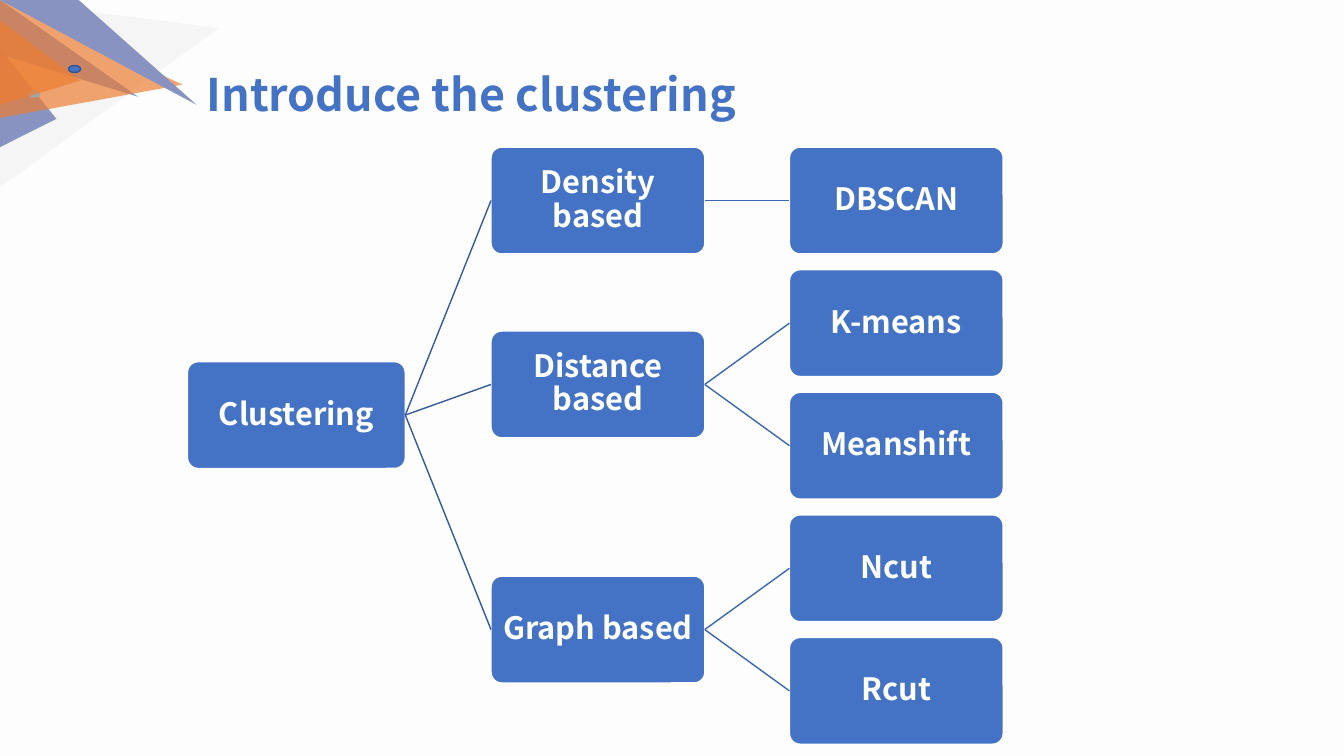
from lxml import etree
from pptx import Presentation
from pptx.dml.color import RGBColor
from pptx.enum.shapes import MSO_CONNECTOR, MSO_SHAPE
from pptx.enum.text import MSO_ANCHOR, PP_ALIGN
from pptx.oxml.ns import qn
from pptx.util import Inches, Pt

ROUND, OVAL = MSO_SHAPE.ROUNDED_RECTANGLE, MSO_SHAPE.OVAL
STRAIGHT = MSO_CONNECTOR.STRAIGHT
MIDDLE, CENTER = MSO_ANCHOR.MIDDLE, PP_ALIGN.CENTER
LEFT, RIGHT = 1, 3  # connection sites

PAPER = RGBColor(0xFD, 0xFD, 0xFD)
WHITE = RGBColor(0xFF, 0xFF, 0xFF)
PALE = RGBColor(0xF2, 0xF2, 0xF2)
GREY = RGBColor(0xA5, 0xA5, 0xA5)
BLUE = RGBColor(0x44, 0x72, 0xC4)
NAVY = RGBColor(0x32, 0x54, 0x91)
LILAC = RGBColor(0x88, 0x93, 0xC1)
ORANGE = RGBColor(0xED, 0x7D, 0x31)
TRUNK = RGBColor(0x36, 0x5B, 0x9D)
TWIG = RGBColor(0x3E, 0x67, 0xB2)

FACE = "Noto Sans CJK SC"
TITLE_FONT = {"name": FACE, "size": Pt(32), "bold": True}
NODE_FONT = {"name": FACE, "size": Pt(22), "bold": True}
NODE_FRAME = {"word_wrap": True, "vertical_anchor": MIDDLE,
              "margin_left": Inches(0.05), "margin_right": Inches(0.05),
              "margin_top": Inches(0.05), "margin_bottom": Inches(0.05)}
NODE_PARA = {"alignment": CENTER, "line_spacing": 0.9, "space_after": Pt(7.7)}

# Tree grid in inches
TOP, STEP, HIGH = 1.46, 1.216, 1.06
ROOT_X, ROOT_W = 1.86, 2.16
BRANCH_X, LEAF_X, NODE_W = 4.87, 7.83, 2.12
TREE = [
    ("Density based", ["DBSCAN"]),
    ("Distance based", ["K-means", "Meanshift"]),
    ("Graph based", ["Ncut", "Rcut"]),
]

# Corner art: points, colour, opacity in percent
BACK_ART = [
    ([(0, 1.86), (0, 0), (2.17, 0.28)], PALE, 69),
    ([(0, 1.46), (0, 0.48), (0.56, 1.18)], LILAC, 100),
    ([(0, 0.54), (0, 0), (1.37, 0.96)], BLUE, 69),
    ([(0, 1.17), (0, 0), (1.81, 0.84)], ORANGE, 69),
    ([(0.78, 0), (0, 0), (1.95, 1.04)], LILAC, 100),
]
FRONT_ART = ([(0, 1.04), (0, 0.2), (0.8, 0.8)], ORANGE, 69)


def assign(target, values):
    for key, value in values.items():
        setattr(target, key, value)


def paint(shape, fill, line=None):
    shape.shadow.inherit = False
    shape.fill.solid()
    shape.fill.fore_color.rgb = fill
    if line is None:
        shape.line.fill.background()
    else:
        shape.line.color.rgb = line
        shape.line.width = Pt(1)


def add_shard(slide, points, color, alpha):
    points = [(Inches(x), Inches(y)) for x, y in points]
    pen = slide.shapes.build_freeform(*points[0])
    pen.add_line_segments(points[1:], close=True)
    shard = pen.convert_to_shape()
    paint(shard, color)
    if alpha < 100:
        tint = shard.fill._xPr.find(qn("a:solidFill"))[0]
        etree.SubElement(tint, qn("a:alpha")).set("val", str(alpha * 1000))


def add_dot(slide, x, y, fill, line=None):
    dot = slide.shapes.add_shape(OVAL, Inches(x), Inches(y),
                                 Inches(0.12), Inches(0.07))
    paint(dot, fill, line)


def add_node(slide, text, x, y, width=NODE_W):
    node = slide.shapes.add_shape(ROUND, Inches(x), Inches(y),
                                  Inches(width), Inches(HIGH))
    node.adjustments[0] = 0.1
    paint(node, BLUE, WHITE)
    frame = node.text_frame
    assign(frame, NODE_FRAME)
    para = frame.paragraphs[0]
    para.text = text
    assign(para, NODE_PARA)
    assign(para.font, NODE_FONT)
    para.font.color.rgb = WHITE
    return node


def add_link(slide, parent, child, color):
    link = slide.shapes.add_connector(STRAIGHT, 0, 0, 0, 0)
    link.begin_connect(parent, RIGHT)
    link.end_connect(child, LEFT)
    link.line.color.rgb = color
    link.line.width = Pt(1)
    etree.SubElement(link._element.spPr, qn("a:effectLst"))


def add_title(slide, text):
    box = slide.shapes.add_textbox(Inches(1.95), Inches(0.61),
                                   Inches(5.88), Inches(0.64))
    box.text_frame.word_wrap = True
    para = box.text_frame.paragraphs[0]
    para.text = text
    assign(para.font, TITLE_FONT)
    para.font.color.rgb = BLUE


def add_tree(slide):
    # Each parent sits midway between its first and last child
    row, rows = 0, []
    for _, leaves in TREE:
        rows.append(row + (len(leaves) - 1) / 2)
        row += len(leaves)
    middle = (rows[0] + rows[-1]) / 2
    root = add_node(slide, "Clustering", ROOT_X, TOP + STEP * middle, ROOT_W)
    row = 0
    for (name, leaves), level in zip(TREE, rows):
        branch = add_node(slide, name, BRANCH_X, TOP + STEP * level)
        add_link(slide, root, branch, TRUNK)
        for leaf in leaves:
            node = add_node(slide, leaf, LEAF_X, TOP + STEP * row)
            add_link(slide, branch, node, TWIG)
            row += 1


def main():
    deck = Presentation()
    deck.slide_width, deck.slide_height = Inches(13.33), Inches(7.5)
    slide = deck.slides.add_slide(deck.slide_layouts[6])
    slide.background.fill.solid()
    slide.background.fill.fore_color.rgb = PAPER

    # Corner art
    for shard in BACK_ART:
        add_shard(slide, *shard)
    add_dot(slide, 0.68, 0.65, BLUE, NAVY)
    add_dot(slide, 0.28, 0.9, GREY)
    add_shard(slide, *FRONT_ART)

    # Diagram and heading
    add_tree(slide)
    add_title(slide, "Introduce the clustering")
    deck.save("out.pptx")


if __name__ == "__main__":
    main()
